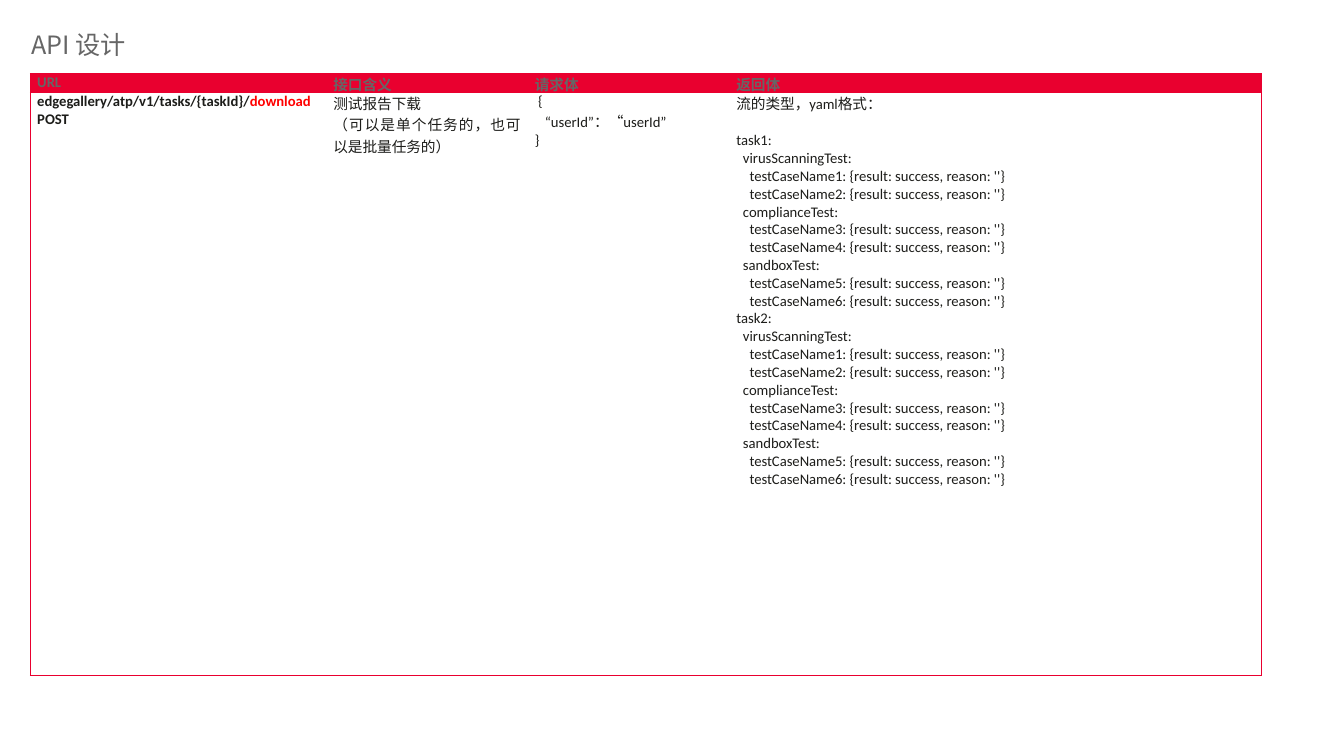
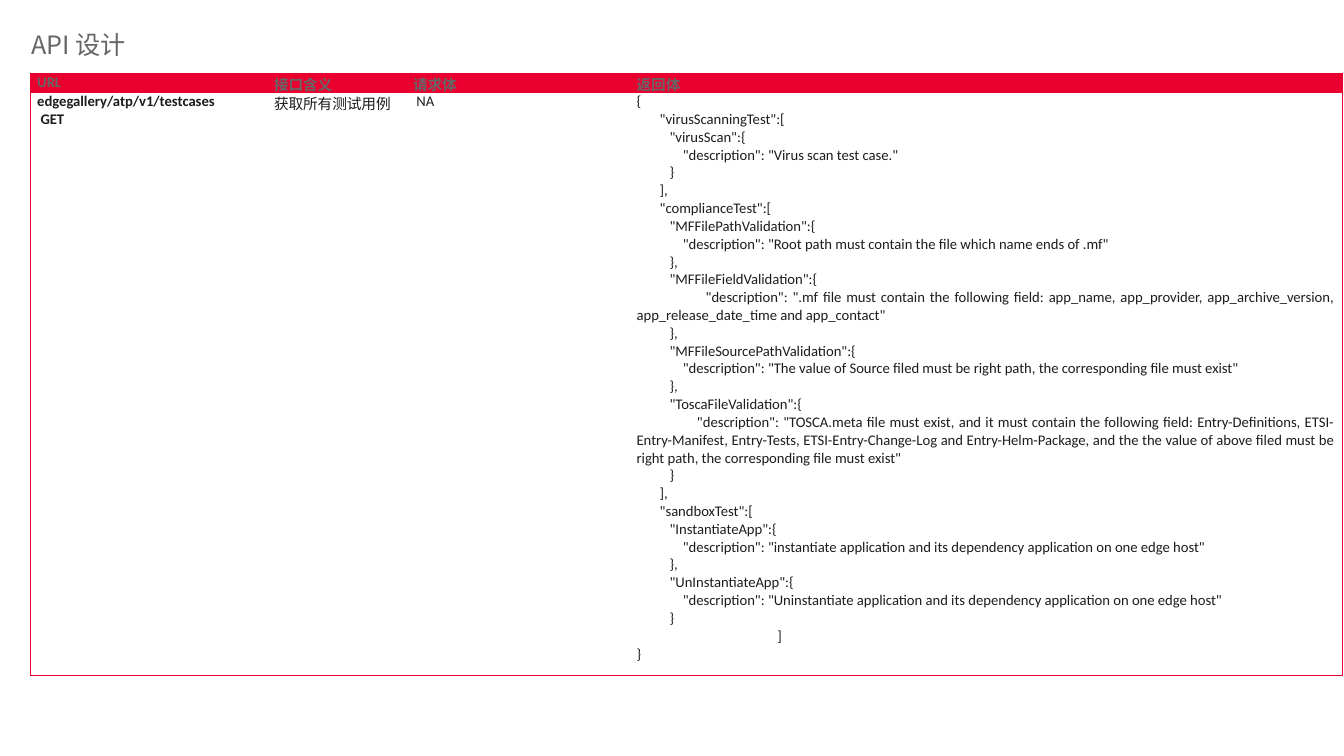
from lxml.etree import SubElement
from pptx import Presentation
from pptx.dml.color import RGBColor
from pptx.enum.text import MSO_ANCHOR, MSO_AUTO_SIZE, PP_ALIGN
from pptx.oxml.ns import qn
from pptx.util import Inches, Pt

RED = RGBColor(0xE9, 0x00, 0x2F)
GREY = RGBColor(0x66, 0x66, 0x66)
INK = RGBColor(0x1D, 0x1D, 0x1A)
HIGHLIGHT = RGBColor(0xFF, 0x00, 0x00)

TITLE = "API 设计"
TITLE_FONT = "Noto Sans CJK SC"
TABLE_FONT = "Calibri"
HEADERS = ["URL", "接口含义", "请求体", "返回体"]
ROW_HEIGHTS = [0.19, 5.78]
NO_STYLE_NO_GRID = "{2D5ABB26-0587-4C30-8999-92F81FD0307C}"

TASK_RESULTS = [
    "  virusScanningTest:",
    "    testCaseName1: {result: success, reason: ''}",
    "    testCaseName2: {result: success, reason: ''}",
    "  complianceTest:",
    "    testCaseName3: {result: success, reason: ''}",
    "    testCaseName4: {result: success, reason: ''}",
    "  sandboxTest:",
    "    testCaseName5: {result: success, reason: ''}",
    "    testCaseName6: {result: success, reason: ''}",
]
REPORT_YAML = ["流的类型，yaml格式：", "", "task1:", *TASK_RESULTS, "task2:", *TASK_RESULTS]

TEST_CASES_JSON = [
    '{',
    '       "virusScanningTest":[',
    '          "virusScan":{',
    '              "description": "Virus scan test case."',
    '          }',
    '       ],',
    '       "complianceTest":[',
    '          "MFFilePathValidation":{',
    '              "description": "Root path must contain the file which name ends of .mf"',
    '          },',
    '          "MFFileFieldValidation":{',
    '              "description": ".mf file must contain the following field: app_name, '
    'app_provider, app_archive_version, app_release_date_time and app_contact"',
    '          },',
    '          "MFFileSourcePathValidation":{',
    '              "description": "The value of Source filed must be right path, '
    'the corresponding file must exist"',
    '          },',
    '          "ToscaFileValidation":{',
    '              "description": "TOSCA.meta file must exist, and it must contain the '
    'following field: Entry-Definitions, ETSI-Entry-Manifest, Entry-Tests, '
    'ETSI-Entry-Change-Log and Entry-Helm-Package, and the the value of above filed '
    'must be right path, the corresponding file must exist"',
    '          }',
    '       ],',
    '       "sandboxTest":[',
    '          "InstantiateApp":{',
    '              "description": "instantiate application and its dependency '
    'application on one edge host"',
    '          },',
    '          "UnInstantiateApp":{',
    '              "description": "Uninstantiate application and its dependency '
    'application on one edge host"',
    '          }',
    '\t   ]',
    '}',
]

PAGES = [
    {
        "widths": [2.94, 2, 2, 5.28],
        "cells": [
            ["edgegallery/atp/v1/tasks/{taskId}/download", "POST"],
            ["测试报告下载", "（可以是单个任务的，也可以是批量任务的）"],
            [" {", "   “userId”：“userId”", "}"],
            REPORT_YAML,
        ],
        "highlight": "download",
    },
    {
        "widths": [2.35, 1.38, 2.22, 7.07],
        "cells": [
            ["edgegallery/atp/v1/testcases", " GET"],
            ["获取所有测试用例"],
            [" NA"],
            TEST_CASES_JSON,
        ],
        "highlight": None,
    },
]


def set_title(page):
    box = page.shapes.title
    box.left, box.top = Inches(0.21), Inches(0.06)
    box.width, box.height = Inches(3.72), Inches(0.52)
    frame = box.text_frame
    frame.text = TITLE
    frame.word_wrap = True
    frame.auto_size = MSO_AUTO_SIZE.SHAPE_TO_FIT_TEXT
    frame.vertical_anchor = MSO_ANCHOR.TOP
    para = frame.paragraphs[0]
    para.alignment = PP_ALIGN.LEFT
    para.line_spacing = Pt(34.4)
    para.font.name = TITLE_FONT
    para.font.size = Pt(18)
    para.font.color.rgb = GREY


def add_borders(cell, sides):
    """Draw thin red lines on the given sides, a subset of "LRTB" in that order."""
    properties = cell._tc.get_or_add_tcPr()
    for side in sides:
        line = SubElement(properties, qn(f"a:ln{side}"), w=str(Pt(0.5)))
        fill = SubElement(line, qn("a:solidFill"))
        SubElement(fill, qn("a:srgbClr"), val=str(RED))


def add_tab_stop(para, position):
    tabs = SubElement(para._p.get_or_add_pPr(), qn("a:tabLst"))
    SubElement(tabs, qn("a:tab"), pos=str(position), algn="l")


def fill_cell(cell, lines, color, bold, highlight=None):
    """Write one paragraph a line; an empty line becomes space before the next."""
    cell.margin_left = cell.margin_right = Inches(0.07)
    cell.margin_top = cell.margin_bottom = 0
    cell.vertical_anchor = MSO_ANCHOR.TOP
    frame = cell.text_frame
    para, gap = frame.paragraphs[0], False
    for number, line in enumerate(lines):
        if not line:
            gap = True
            continue
        if number:
            para = frame.add_paragraph()
        para.alignment = PP_ALIGN.JUSTIFY
        if gap:
            para.space_before = Pt(12.8)
            gap = False
        if line.startswith("\t"):
            add_tab_stop(para, Inches(1.3))
        para.font.name = TABLE_FONT
        para.font.size = Pt(10.5)
        para.font.bold = bold
        para.font.color.rgb = color
        marked = bool(highlight) and line.endswith(highlight)
        para.add_run().text = line.removesuffix(highlight) if marked else line
        if marked:
            span = para.add_run()
            span.text = highlight
            span.font.color.rgb = HIGHLIGHT


def add_api_table(page, widths, cells, highlight):
    frame = page.shapes.add_table(
        2, len(widths), Inches(0.3), Inches(0.73),
        Inches(sum(widths)), Inches(sum(ROW_HEIGHTS)))
    table = frame.table
    table.first_row = table.horz_banding = False
    table._tbl.tblPr.find(qn("a:tableStyleId")).text = NO_STYLE_NO_GRID
    for row, height in zip(table.rows, ROW_HEIGHTS):
        row.height = Inches(height)
    last = len(widths) - 1
    for index, (width, header, body) in enumerate(zip(widths, HEADERS, cells)):
        table.columns[index].width = Inches(width)
        outer = ("L" if index == 0 else "") + ("R" if index == last else "")
        head_cell, body_cell = table.cell(0, index), table.cell(1, index)
        add_borders(head_cell, outer + "T")
        add_borders(body_cell, outer + "TB")
        head_cell.fill.solid()
        head_cell.fill.fore_color.rgb = RED
        body_cell.fill.background()
        fill_cell(head_cell, [header], GREY, True)
        fill_cell(body_cell, body, INK, index == 0, highlight)


def main():
    deck = Presentation()
    deck.slide_width, deck.slide_height = Inches(13.34), Inches(7.5)
    title_only = deck.slide_layouts[5]
    for content in PAGES:
        page = deck.slides.add_slide(title_only)
        set_title(page)
        add_api_table(page, **content)
    deck.save("out.pptx")


if __name__ == "__main__":
    main()
